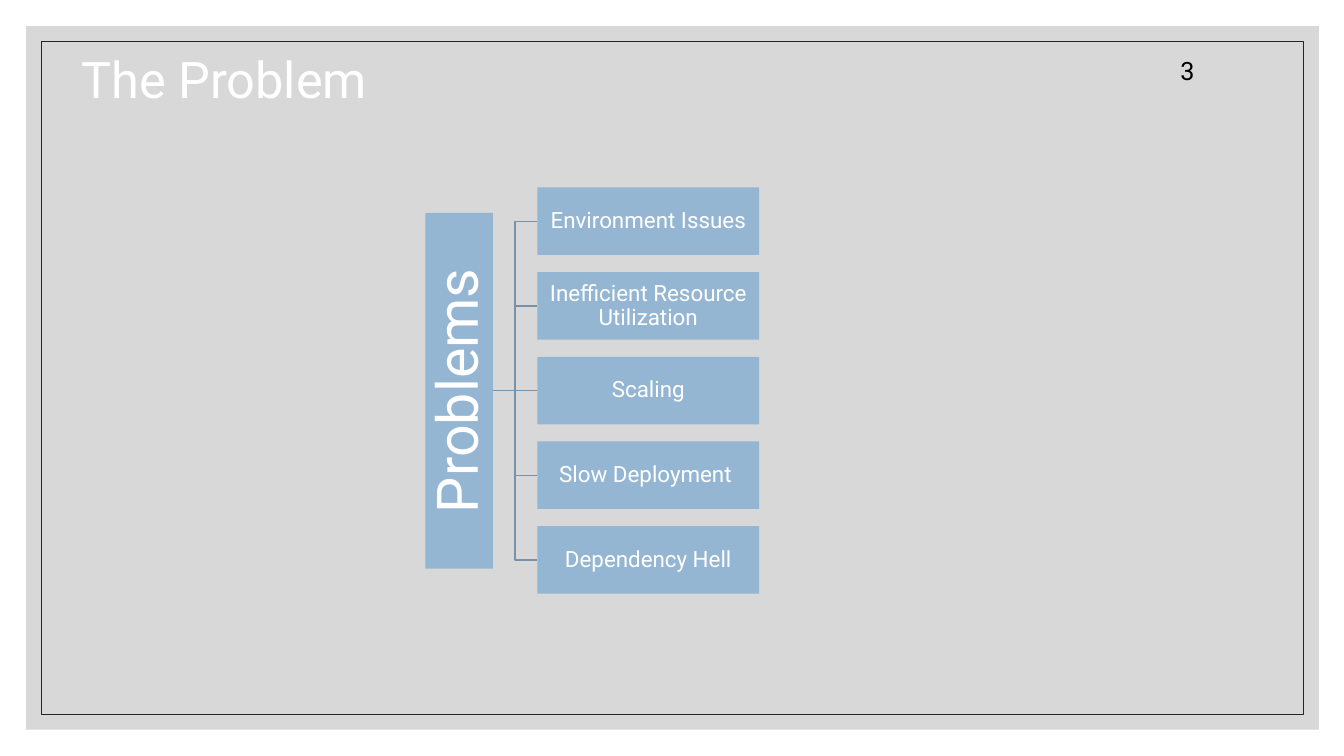
"""Build the slide that breaks The Problem down into five issues."""
from dataclasses import dataclass

import lxml.etree
import pptx
import pptx.dml.color
import pptx.enum.shapes
import pptx.enum.text
import pptx.oxml.ns
import pptx.util

Inches = pptx.util.Inches
PP_ALIGN = pptx.enum.text.PP_ALIGN
MSO_ANCHOR = pptx.enum.text.MSO_ANCHOR

FONT = "Roboto"
COLORS = {
    "panel": "BFBFBF",
    "frame": "262626",
    "box": "94B6D2",
    "branch": "7792A8",
    "light": "FFFFFF",
    "dark": "000000",
}
ISSUES = [
    "Environment Issues",
    "Inefficient Resource Utilization",
    "Scaling",
    "Slow Deployment ",
    "Dependency Hell",
]
BOX_LEFT, BOX_TOP, BOX_W, BOX_H, BOX_STEP = 5.33, 1.86, 2.2, 0.67, 0.84
ROOT_RIGHT, ROOT_LENGTH = 4.89, 3.53
TRUNK_X = (ROOT_RIGHT + BOX_LEFT) / 2
ROOT_Y = BOX_TOP + BOX_STEP * (len(ISSUES) - 1) / 2 + BOX_H / 2


@dataclass
class Box:
    """A filled rectangle with a centred label."""
    text: str
    left: float
    top: float
    width: float
    size: float
    inset: float
    rotation: float = 0


@dataclass
class Label:
    """A plain text box."""
    text: str
    left: float
    top: float
    width: float
    height: float
    size: float
    color: str
    spacing: float = 1.0


def rgb(name: str) -> pptx.dml.color.RGBColor:
    """Look up a named colour."""
    return pptx.dml.color.RGBColor.from_string(COLORS[name])


def write(sp, text: str, size: float, color: str, spacing: float,
          align: PP_ALIGN, anchor: MSO_ANCHOR, insets: tuple[float, float]) -> None:
    """Put one formatted paragraph into a shape."""
    tf = sp.text_frame
    tf.text = text
    tf.word_wrap = True
    tf.vertical_anchor = anchor
    tf.margin_left = tf.margin_right = Inches(insets[0])
    tf.margin_top = tf.margin_bottom = Inches(insets[1])
    p = tf.paragraphs[0]
    p.alignment = align
    p.line_spacing = spacing
    font = p.runs[0].font
    font.name, font.size = FONT, pptx.util.Pt(size)
    font.color.rgb = rgb(color)


def add_rect(s, left: float, top: float, width: float, height: float,
             fill: str | None = None, line: str | None = None):
    """Add a rectangle with an optional fill and hairline."""
    sp = s.shapes.add_shape(pptx.enum.shapes.MSO_SHAPE.RECTANGLE, Inches(left),
                            Inches(top), Inches(width), Inches(height))
    sp.shadow.inherit = False
    if fill:
        sp.fill.solid()
        sp.fill.fore_color.rgb = rgb(fill)
    else:
        sp.fill.background()
    if line:
        sp.line.color.rgb = rgb(line)
        sp.line.width = pptx.util.Pt(0.5)
    else:
        sp.line.fill.background()
    return sp


def add_background(s) -> None:
    """Draw the translucent panel and its thin frame."""
    panel = add_rect(s, 0.26, 0.26, 12.82, 6.98, fill="panel")
    qn = pptx.oxml.ns.qn
    color = panel.fill._xPr.find(qn("a:solidFill")).find(qn("a:srgbClr"))
    lxml.etree.SubElement(color, qn("a:alpha")).set("val", "60000")
    add_rect(s, 0.41, 0.41, 12.52, 6.68, line="frame")


def add_label(s, label: Label) -> None:
    """Draw a plain text box."""
    sp = s.shapes.add_textbox(Inches(label.left), Inches(label.top),
                              Inches(label.width), Inches(label.height))
    write(sp, label.text, label.size, label.color, label.spacing,
          PP_ALIGN.LEFT, MSO_ANCHOR.TOP, (0.1, 0.05))


def add_box(s, box: Box) -> None:
    """Draw a labelled box of the tree."""
    sp = add_rect(s, box.left, box.top, box.width, BOX_H, fill="box")
    sp.rotation = box.rotation
    write(sp, box.text, box.size, "light", 0.9, PP_ALIGN.CENTER,
          MSO_ANCHOR.MIDDLE, (box.inset, box.inset))


def add_branch(s, y: float) -> None:
    """Link the root box to the issue box centred at y."""
    x1, x2, x3 = Inches(ROOT_RIGHT), Inches(TRUNK_X), Inches(BOX_LEFT)
    y1, y2 = Inches(ROOT_Y), Inches(y)
    if abs(y - ROOT_Y) < 0.01:
        sp = s.shapes.add_connector(pptx.enum.shapes.MSO_CONNECTOR.STRAIGHT, x1, y1, x3, y1)
        lxml.etree.SubElement(sp._element.spPr, pptx.oxml.ns.qn("a:effectLst"))
    else:
        builder = s.shapes.build_freeform(x1, y1)
        builder.add_line_segments([(x2, y1), (x2, y2), (x3, y2)], close=False)
        sp = builder.convert_to_shape()
        sp.fill.background()
        sp.shadow.inherit = False
    sp.line.color.rgb = rgb("branch")
    sp.line.width = pptx.util.Pt(1)


def main() -> None:
    """Build and save the slide."""
    prs = pptx.Presentation()
    prs.slide_width, prs.slide_height = Inches(13.33), Inches(7.5)
    s = prs.slides.add_slide(prs.slide_layouts[6])
    add_background(s)
    add_label(s, Label("The Problem", 0.71, 0.5, 10.29, 1.53, 36, "light", 0.9))

    boxes = [Box(text, BOX_LEFT, BOX_TOP + i * BOX_STEP, BOX_W, 16, 0.01)
             for i, text in enumerate(ISSUES)]
    for box in reversed(boxes):
        add_branch(s, box.top + BOX_H / 2)
    root_left = ROOT_RIGHT - BOX_H / 2 - ROOT_LENGTH / 2
    root = Box("Problems", root_left, ROOT_Y - BOX_H / 2, ROOT_LENGTH, 41, 0.03, 270)
    for box in [root, *boxes]:
        add_box(s, box)

    add_label(s, Label("3", 11.61, 0.5, 0.92, 0.84, 18, "dark"))
    prs.save("out.pptx")


if __name__ == "__main__":
    main()
